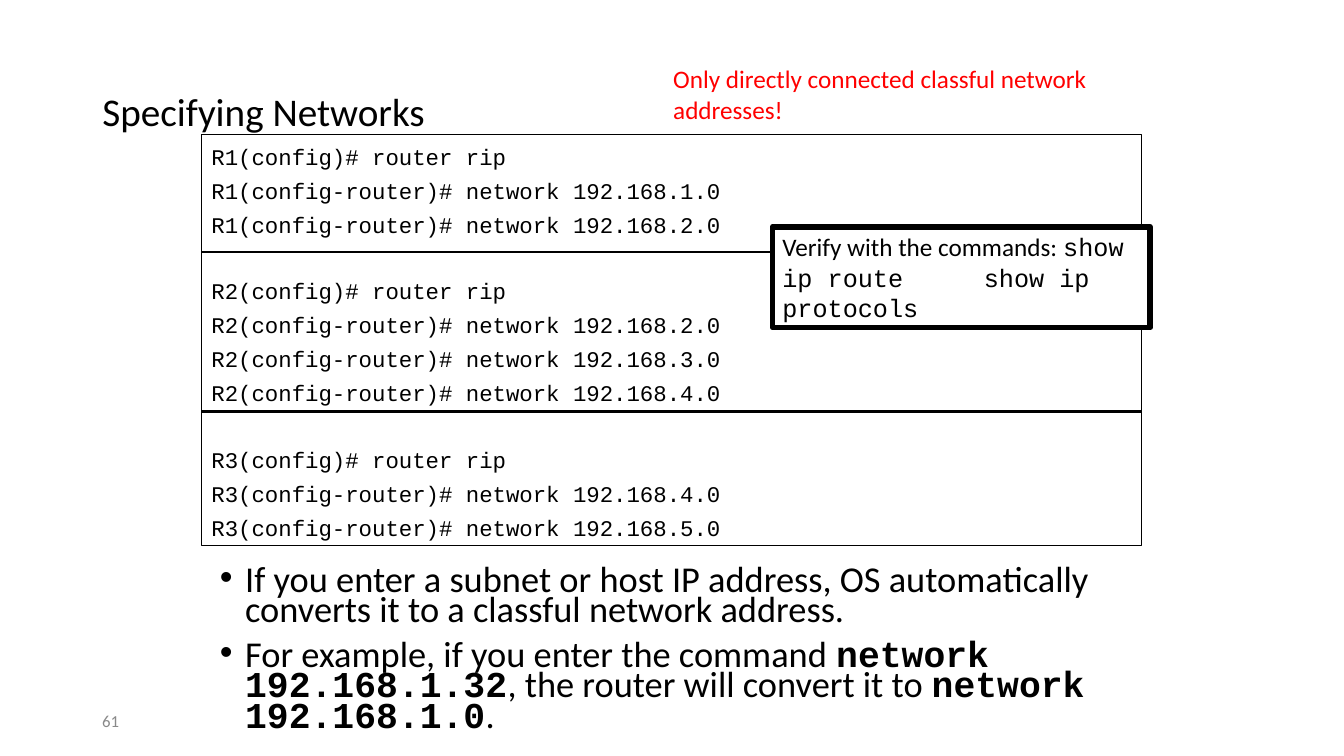
from dataclasses import dataclass

from lxml.etree import SubElement
from pptx import Presentation
from pptx.dml.color import RGBColor
from pptx.enum.shapes import MSO_CONNECTOR, MSO_SHAPE
from pptx.enum.text import MSO_ANCHOR, MSO_AUTO_SIZE, PP_ALIGN
from pptx.oxml.ns import qn
from pptx.util import Pt


@dataclass(frozen=True)
class Theme:
    sans: str = "Calibri"
    mono: str = "Courier New"
    black: RGBColor = RGBColor(0, 0, 0)
    white: RGBColor = RGBColor(255, 255, 255)
    red: RGBColor = RGBColor(255, 0, 0)
    gray: RGBColor = RGBColor(0x89, 0x89, 0x89)
    title: int = 28
    body: int = 26
    note: int = 18
    code: int = 16
    number: int = 12


THEME = Theme()

ROUTER_NETWORKS = {"R1": (1, 2), "R2": (2, 3, 4), "R3": (4, 5)}

RULES = [
    [("If you enter a subnet or host IP address, OS automatically converts it "
      "to a classful network address.", False)],
    [("For example, if you enter the command ", False),
     ("network 192.168.1.32", True),
     (", the router will convert it to ", False),
     ("network 192.168.1.0", True),
     (".", False)],
]

VERIFY = [("Verify with the commands: ", False),
          ("show ip route\tshow ip protocols", True)]


def apply_format(target, values):
    for name, value in values.items():
        setattr(target, name, value)


def place(shape, left, top, width, height):
    apply_format(shape, {"left": Pt(left), "top": Pt(top),
                         "width": Pt(width), "height": Pt(height)})


def prepare_frame(shape, anchor, top_inset=3.6):
    frame = shape.text_frame
    apply_format(frame, {"word_wrap": True, "auto_size": MSO_AUTO_SIZE.NONE,
                         "vertical_anchor": anchor,
                         "margin_left": Pt(7.2), "margin_right": Pt(7.2),
                         "margin_top": Pt(top_inset), "margin_bottom": Pt(3.6)})
    return frame


def write_runs(paragraph, runs, size, color=THEME.black, bold_code=False, **spacing):
    apply_format(paragraph, {"alignment": PP_ALIGN.LEFT, "space_before": Pt(0), **spacing})
    for text, is_code in runs:
        run = paragraph.add_run()
        run.text = text
        apply_format(run.font, {"name": THEME.mono if is_code else THEME.sans,
                                "size": Pt(size), "bold": is_code and bold_code})
        run.font.color.rgb = color


def next_paragraph(frame, index):
    return frame.add_paragraph() if index else frame.paragraphs[0]


def add_label(slide, box, text, size, color, anchor):
    label = slide.shapes.add_textbox(*map(Pt, box))
    frame = prepare_frame(label, anchor)
    write_runs(frame.paragraphs[0], [(text, False)], size, color)


def add_panel(slide, box, line_width, filled, top_inset=3.6):
    panel = slide.shapes.add_shape(MSO_SHAPE.RECTANGLE, *map(Pt, box))
    panel.shadow.inherit = False
    if filled:
        panel.fill.solid()
        panel.fill.fore_color.rgb = THEME.white
    else:
        panel.fill.background()
    panel.line.color.rgb = THEME.black
    panel.line.width = Pt(line_width)
    return prepare_frame(panel, MSO_ANCHOR.TOP, top_inset)


def add_divider(slide, left, right, top):
    divider = slide.shapes.add_connector(
        MSO_CONNECTOR.STRAIGHT, Pt(left), Pt(top), Pt(right), Pt(top))
    divider.line.color.rgb = THEME.black
    divider.line.width = Pt(2)
    SubElement(divider._element.spPr, qn("a:effectLst"))


def add_bullet(paragraph):
    properties = paragraph._p.get_or_add_pPr()
    properties.set("marL", str(Pt(18)))
    properties.set("indent", str(Pt(-18)))
    color = SubElement(properties, qn("a:buClr"))
    SubElement(color, qn("a:srgbClr"), val=str(THEME.black))
    SubElement(properties, qn("a:buFont"), typeface="Arial")
    SubElement(properties, qn("a:buChar"), char="•")


def add_tab_stop(paragraph, position):
    stops = SubElement(paragraph._p.get_or_add_pPr(), qn("a:tabLst"))
    SubElement(stops, qn("a:tab"), pos=str(Pt(position)), algn="l")


def fill_title(title):
    place(title, 66, 28.8, 828, 104.4)
    frame = prepare_frame(title, MSO_ANCHOR.MIDDLE)
    write_runs(frame.paragraphs[0], [("Specifying Networks", False)],
               THEME.title, line_spacing=0.9)


def fill_rules(body):
    place(body, 150, 402, 648, 138)
    frame = prepare_frame(body, MSO_ANCHOR.TOP)
    for index, runs in enumerate(RULES):
        paragraph = next_paragraph(frame, index)
        add_bullet(paragraph)
        write_runs(paragraph, runs, THEME.body, bold_code=True,
                   line_spacing=0.7, space_before=Pt(10 if index else 0))


def add_router_config(slide):
    left, right = 144, 816
    frame = add_panel(slide, (left, 96, right - left, 294), 0.75, False, 6)
    index = 0
    for router, networks in ROUTER_NETWORKS.items():
        commands = [f"{router}(config)# router rip"]
        commands += [f"{router}(config-router)# network 192.168.{network}.0"
                     for network in networks]
        for position, command in enumerate(commands):
            gap = 5.1 if position else 28.4
            write_runs(next_paragraph(frame, index), [(command, True)], THEME.code,
                       space_before=Pt(gap if index else 0))
            index += 1
    for top in (180, 294):
        add_divider(slide, left, right, top)


def add_verify_note(slide):
    frame = add_panel(slide, (552, 162, 270, 72), 4, True)
    paragraph = frame.paragraphs[0]
    add_tab_stop(paragraph, 144)
    write_runs(paragraph, VERIFY, THEME.note)


def main():
    presentation = Presentation()
    apply_format(presentation, {"slide_width": Pt(960.48), "slide_height": Pt(540)})
    slide = presentation.slides.add_slide(presentation.slide_layouts[1])
    add_label(slide, (66, 500.4, 216, 28.8), "61",
              THEME.number, THEME.gray, MSO_ANCHOR.MIDDLE)
    fill_title(slide.shapes.title)
    fill_rules(slide.placeholders[1])
    add_router_config(slide)
    add_label(slide, (474, 42, 336, 50.4),
              "Only directly connected classful network addresses!",
              THEME.note, THEME.red, MSO_ANCHOR.TOP)
    add_verify_note(slide)
    presentation.save("out.pptx")


if __name__ == "__main__":
    main()
